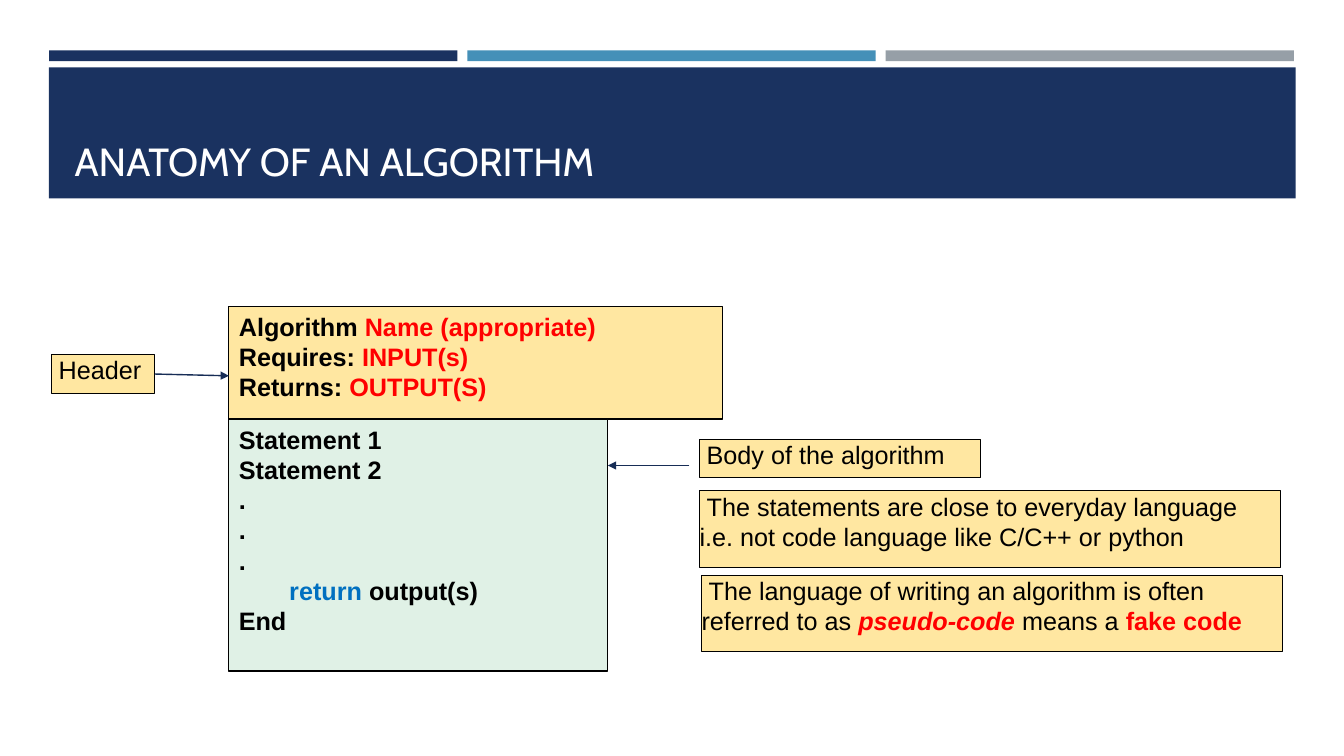
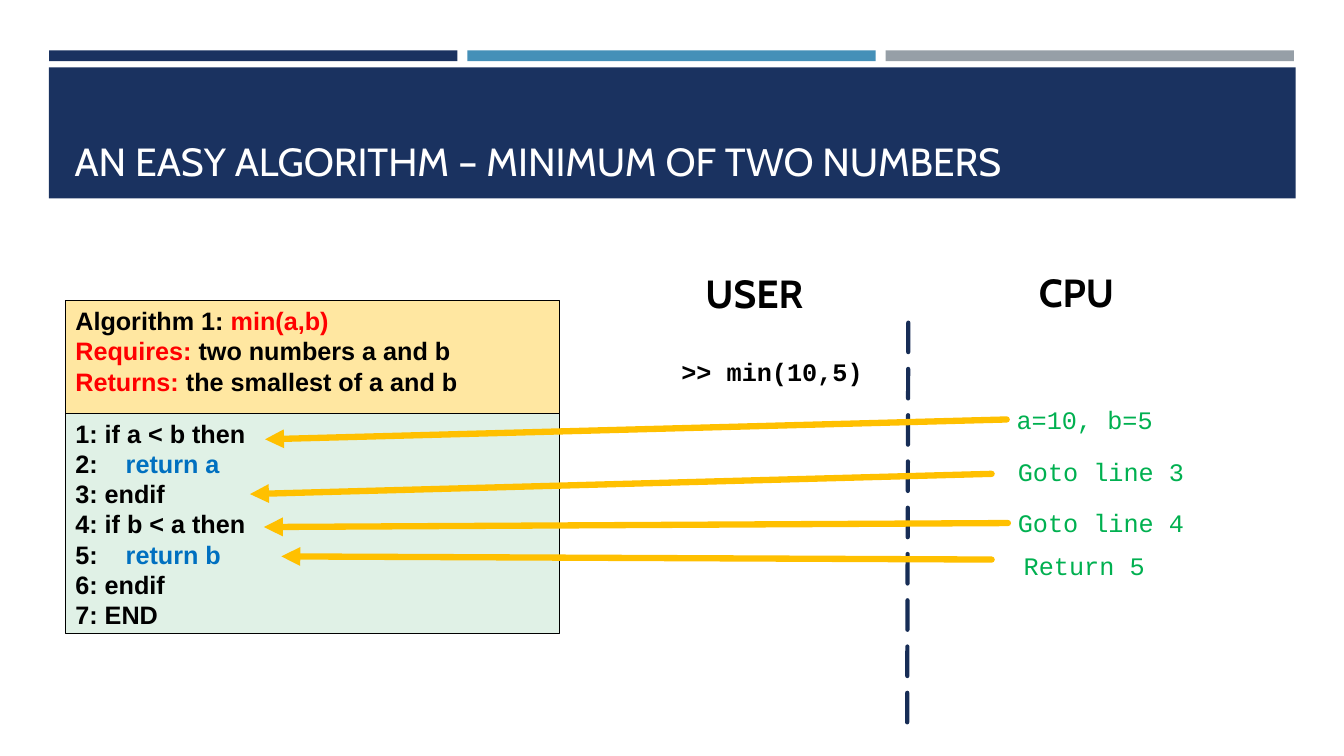
from lxml import etree
from pptx import Presentation
from pptx.dml.color import RGBColor
from pptx.enum.dml import MSO_LINE
from pptx.enum.shapes import MSO_CONNECTOR, MSO_SHAPE
from pptx.enum.text import MSO_ANCHOR, PP_ALIGN
from pptx.oxml.ns import qn
from pptx.util import Cm, Pt

RECT = MSO_SHAPE.RECTANGLE
STRAIGHT = MSO_CONNECTOR.STRAIGHT
DASH = MSO_LINE.LONG_DASH
TOP, BOTTOM = MSO_ANCHOR.TOP, MSO_ANCHOR.BOTTOM
LEFT = PP_ALIGN.LEFT
RIGHT_SIDE = 3

NAVY = RGBColor(0x1A, 0x32, 0x60)
INK = RGBColor(0x17, 0x2D, 0x56)
SKY = RGBColor(0x45, 0x90, 0xB8)
GREY = RGBColor(0x96, 0x9F, 0xA7)
WHITE = RGBColor(0xFF, 0xFF, 0xFF)
BLACK = RGBColor(0, 0, 0)
GOLD = RGBColor(0xFF, 0xC0, 0)
MINT = RGBColor(0xAD, 0xDB, 0xBD)
RED = RGBColor(0xFF, 0, 0)
BLUE = RGBColor(0, 0x70, 0xC0)
GREEN = RGBColor(0, 0xB0, 0x50)

SANS, HEAD, MONO = "Arial", "Cabin", "Courier New"


class Deck:
    def __init__(self):
        self.file = Presentation()
        self.file.slide_width = Cm(33.87)
        self.file.slide_height = Cm(19.05)

    def start(self, title):
        """Add a slide with the three bars, the band and its title."""
        layout = self.file.slide_layouts[6]
        self.shapes = self.file.slides.add_slide(layout).shapes
        for i, color in enumerate((NAVY, SKY, GREY)):
            self.rect(1.24 + i * 10.54, 1.27, 10.29, 0.27, color)
        self.rect(1.23, 1.7, 31.42, 3.3, NAVY)
        frame = self.label(title, 1.63, 1.96, 30.63, 2.82, HEAD, 28, WHITE)
        frame.word_wrap = True
        frame.vertical_anchor = BOTTOM

    def text(self, frame, lines, face, size, color, bold=False):
        """Fill a frame; a run is a string or (string, colour, bold, italic)."""
        for i, line in enumerate(lines):
            para = frame.add_paragraph() if i else frame.paragraphs[0]
            para.alignment = LEFT
            para.font.name = face
            para.font.size = Pt(size)
            para.font.bold = bold
            para.font.color.rgb = color
            for part in [line] if isinstance(line, str) else line:
                run = para.add_run()
                if isinstance(part, str):
                    run.text = part
                    continue
                run.text, tone, *style = part
                run.font.color.rgb = tone
                if style:
                    run.font.bold, run.font.italic = style

    def rect(self, x, y, w, h, color):
        shape = self.shapes.add_shape(RECT, Cm(x), Cm(y), Cm(w), Cm(h))
        shape.shadow.inherit = False
        shape.fill.solid()
        shape.fill.fore_color.rgb = color
        shape.line.fill.background()
        return shape

    def panel(self, x, y, w, h, color, lines, bold=True):
        """Add an outlined box with a pale tint of the colour."""
        shape = self.rect(x, y, w, h, color)
        tint = shape.element.spPr.find(qn("a:solidFill"))[0]
        etree.SubElement(tint, qn("a:alpha"), val="37000")
        shape.line.color.rgb = BLACK
        shape.line.width = Pt(0.75)
        shape.text_frame.word_wrap = True
        shape.text_frame.vertical_anchor = TOP
        self.text(shape.text_frame, lines, SANS, 18, BLACK, bold)
        return shape

    def note(self, x, y, w, h, *lines):
        """Add a panel without margins, its first line indented."""
        shape = self.panel(x, y, w, h, GOLD, lines, False)
        frame = shape.text_frame
        frame.margin_left = frame.margin_right = 0
        frame.margin_top = frame.margin_bottom = 0
        props = frame.paragraphs[0]._p.get_or_add_pPr()
        props.set("marL", "0")
        props.set("indent", str(Cm(0.18)))
        return shape

    def code(self, x, y, width, height, top, body):
        """Add an algorithm: its header and the body right below."""
        deep = 2.84
        self.panel(x, y, 12.45, deep, GOLD, top)
        self.panel(x, y + deep, width, height, MINT, body)

    def label(self, text, x, y, w, h, face, size, color, bold=False):
        box = self.shapes.add_textbox(Cm(x), Cm(y), Cm(w), Cm(h))
        frame = box.text_frame
        frame.word_wrap = False
        self.text(frame, [text], face, size, color, bold)
        return frame

    def line(self, start, end, color, width, dash=None):
        """Draw a dashed line, or an arrow when no dash is given."""
        link = self.shapes.add_connector(
            STRAIGHT, *(Cm(n) for n in (*start, *end)))
        link.line.color.rgb = color
        link.line.width = Pt(width)
        props = link.element.spPr
        stroke = props.find(qn("a:ln"))
        if width > 1:
            stroke.set("cap", "rnd")
        if dash:
            link.line.dash_style = dash
        else:
            etree.SubElement(stroke, qn("a:tailEnd"), type="triangle")
        etree.SubElement(props, qn("a:effectLst"))
        return link


def anatomy(deck):
    deck.start("ANATOMY OF AN ALGORITHM")
    deck.code(
        5.77, 7.72, 9.55, 6.35,
        [["Algorithm ", ("Name (appropriate)", RED)],
         ["Requires: ", ("INPUT(s)", RED)],
         ["Returns: ", ("OUTPUT(S)", RED)]],
        ["Statement 1", "Statement 2", ".", ".", ".",
         [("\treturn", BLUE), " output(s)"], "End"])
    header = deck.note(1.3, 8.94, 2.6, 0.97, "Header")
    arrow = deck.line((3.9, 9.43), (5.77, 9.47), INK, 1)
    arrow.begin_connect(header, RIGHT_SIDE)
    deck.note(17.63, 11.07, 7.09, 0.97, "Body of the algorithm")
    deck.line((17.37, 11.73), (15.32, 11.73), INK, 1)
    deck.note(17.63, 12.37, 14.63, 1.93,
              "The statements are close to everyday language",
              "i.e. not code language like C/C++ or python")
    deck.note(17.68, 14.5, 14.63, 1.93,
              ["The language of writing an algorithm is often referred to as ",
               ("pseudo-code ", RED, True, True), "means a ",
               ("fake code", RED, True, False)])


def minimum(deck):
    deck.start("AN EASY ALGORITHM – MINIMUM OF TWO NUMBERS")
    deck.code(
        1.65, 7.57, 12.45, 5.56,
        [["Algorithm 1: ", ("min(a,b)", RED)],
         [("Requires: ", RED), "two numbers a and b"],
         [("Returns: ", RED), "the smallest of a and b"]],
        ["1: if a < b then", ["2:\t", ("return a", BLUE)], "3: endif",
         "4: if b < a then", ["5:\t", ("return b", BLUE)], "6: endif",
         "7: END"])
    deck.line((22.89, 8.13), (22.86, 18.52), INK, 3, DASH)
    deck.label("USER", 17.53, 6.65, 3.25, 1.45, HEAD, 28, BLACK, True)
    deck.label("CPU", 25.93, 6.63, 2.77, 1.45, HEAD, 28, BLACK, True)
    deck.label(">> min(10,5)", 16.92, 8.86, 5.1, 1.02, MONO, 18, BLACK, True)
    steps = (
        ("a=10, b=5", 25.37, 10.06, 3.96, (25.37, 10.57), (6.68, 11.07)),
        ("Goto line 3", 25.4, 11.38, 4.72, (24.99, 11.94), (6.3, 12.45)),
        ("Goto line 4", 25.4, 12.67, 4.72, (25.4, 13.18), (6.65, 13.28)),
        ("Return 5", 25.55, 13.74, 3.58, (24.99, 14.1), (7.09, 14.02)),
    )
    for text, x, y, width, start, end in steps:
        deck.label(text, x, y, width, 1.02, MONO, 18, GREEN)
        deck.line(start, end, GOLD, 4.5)


def main():
    deck = Deck()
    anatomy(deck)
    minimum(deck)
    deck.file.save("out.pptx")


if __name__ == "__main__":
    main()
